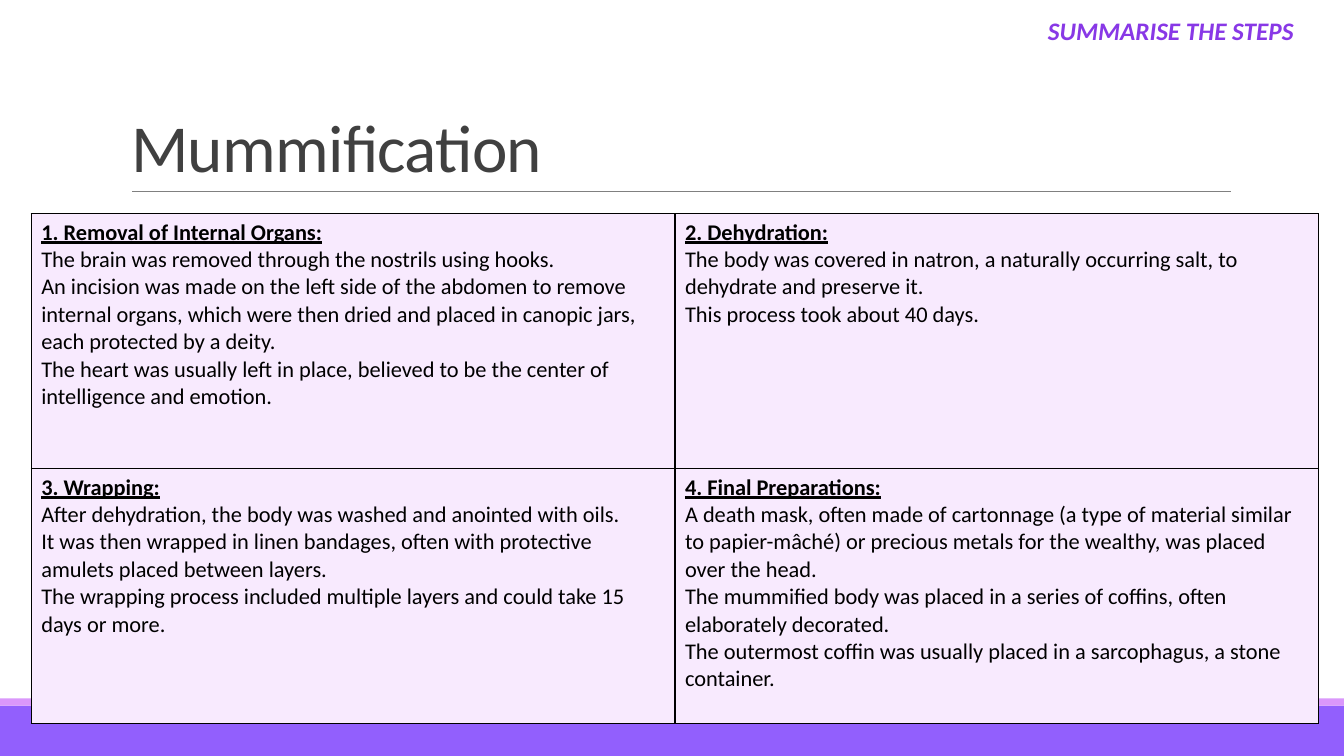
from dataclasses import dataclass

from lxml.etree import SubElement
from pptx import Presentation
from pptx.dml.color import RGBColor
from pptx.enum.shapes import MSO_CONNECTOR as Connector, MSO_SHAPE as Shape
from pptx.enum.text import MSO_ANCHOR as Anchor, MSO_AUTO_SIZE as AutoSize, PP_ALIGN as Align
from pptx.oxml.ns import qn
from pptx.util import Inches, Pt

STEPS = [
    ("1. Removal of Internal Organs:", [
        "The brain was removed through the nostrils using hooks.",
        "An incision was made on the left side of the abdomen to remove internal organs, "
        "which were then dried and placed in canopic jars, each protected by a deity.",
        "The heart was usually left in place, believed to be the center of intelligence and emotion.",
    ]),
    ("2. Dehydration:", [
        "The body was covered in natron, a naturally occurring salt, to dehydrate and preserve it.",
        "This process took about 40 days.",
    ]),
    ("3. Wrapping:", [
        "After dehydration, the body was washed and anointed with oils.",
        "It was then wrapped in linen bandages, often with protective amulets placed between layers.",
        "The wrapping process included multiple layers and could take 15 days or more.",
    ]),
    ("4. Final Preparations:", [
        "A death mask, often made of cartonnage (a type of material similar to papier-mâché) "
        "or precious metals for the wealthy, was placed over the head.",
        "The mummified body was placed in a series of coffins, often elaborately decorated.",
        "The outermost coffin was usually placed in a sarcophagus, a stone container.",
    ]),
]


def color(value):
    return RGBColor.from_string(value)


@dataclass
class Page:
    """Draws styled elements on one slide."""

    slide: object
    font: str = "Calibri"
    ink: str = "000000"
    cell_fill: str = "F8EAFE"

    def style(self, para, size, ink, bold=False, italic=False, underline=False):
        font = para.font
        font.name, font.size = self.font, Pt(size)
        font.bold, font.italic, font.underline = bold, italic, underline
        font.color.rgb = color(ink)

    def place(self, shape, left, top, width, height):
        shape.left, shape.top = Inches(left), Inches(top)
        shape.width, shape.height = Inches(width), Inches(height)

    def band(self, top, height, fill):
        band = self.slide.shapes.add_shape(
            Shape.RECTANGLE, 0, Inches(top), Inches(13.33), Inches(height))
        band.shadow.inherit = False
        band.fill.solid()
        band.fill.fore_color.rgb = color(fill)
        band.line.fill.background()

    def rule(self, left, right, top, ink, width):
        rule = self.slide.shapes.add_connector(
            Connector.STRAIGHT, Inches(left), Inches(top), Inches(right), Inches(top))
        rule.line.color.rgb = color(ink)
        rule.line.width = Pt(width)
        SubElement(rule._element.spPr, qn("a:effectLst"))

    def title(self, text):
        title = self.slide.shapes.title
        self.place(title, 1.2, 0.31, 11, 1.59)
        frame = title.text_frame
        frame.text = text
        frame.auto_size = AutoSize.NONE
        frame.vertical_anchor = Anchor.BOTTOM
        para = frame.paragraphs[0]
        para.alignment, para.line_spacing = Align.LEFT, 0.85
        self.style(para, 48, "404040")
        para.runs[0]._r.get_or_add_rPr().set("spc", "-50")

    def label(self, text, left, top, width, height, size, ink):
        box = self.slide.shapes.add_textbox(
            Inches(left), Inches(top), Inches(width), Inches(height))
        box.text_frame.word_wrap = True
        box.text_frame.auto_size = AutoSize.SHAPE_TO_FIT_TEXT
        para = box.text_frame.paragraphs[0]
        para.text, para.alignment = text, Align.RIGHT
        self.style(para, size, ink, bold=True, italic=True)

    def border(self, cell):
        properties = cell._tc.get_or_add_tcPr()
        for index, side in enumerate(("lnL", "lnR", "lnT", "lnB")):
            line = properties.makeelement(qn(f"a:{side}"), {"w": str(Pt(1))})
            fill = SubElement(line, qn("a:solidFill"))
            SubElement(fill, qn("a:srgbClr"), val=self.ink)
            properties.insert(index, line)

    def step(self, cell, heading, sentences):
        cell.fill.solid()
        cell.fill.fore_color.rgb = color(self.cell_fill)
        self.border(cell)
        frame = cell.text_frame
        frame.text = "\n".join([heading, *sentences])
        for index, para in enumerate(frame.paragraphs):
            self.style(para, 16, self.ink, bold=index == 0, underline=index == 0)

    def grid(self, steps, left, top, width, height):
        table = self.slide.shapes.add_table(
            2, 2, Inches(left), Inches(top), Inches(width), Inches(height)).table
        table.first_row = table.horz_banding = False
        for cell, (heading, sentences) in zip(table.iter_cells(), steps):
            self.step(cell, heading, sentences)


def main():
    deck = Presentation()
    deck.slide_width, deck.slide_height = Inches(13.33), Inches(7.5)
    page = Page(deck.slides.add_slide(deck.slide_layouts.get_by_name("Title Only")))
    page.band(7, 0.5, "925FFD")
    page.band(6.93, 0.07, "DA97FB")
    page.rule(1.31, 12.21, 1.9, "808080", 0.5)
    page.title("Mummification")
    page.grid(STEPS, 0.31, 2.12, 12.77, 5.06)
    page.label("SUMMARISE THE STEPS", 9.48, 0.1, 3.45, 0.4, 18, "8838E6")
    deck.save("out.pptx")


if __name__ == "__main__":
    main()
